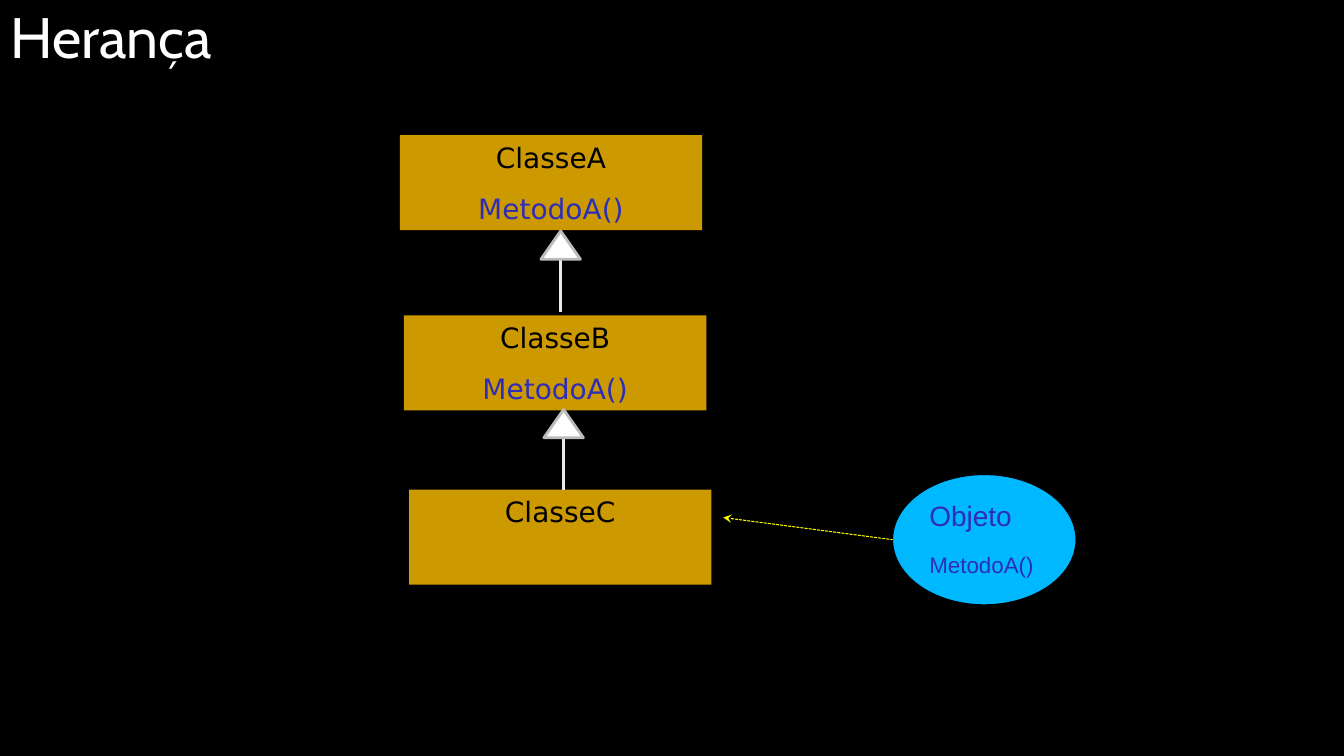
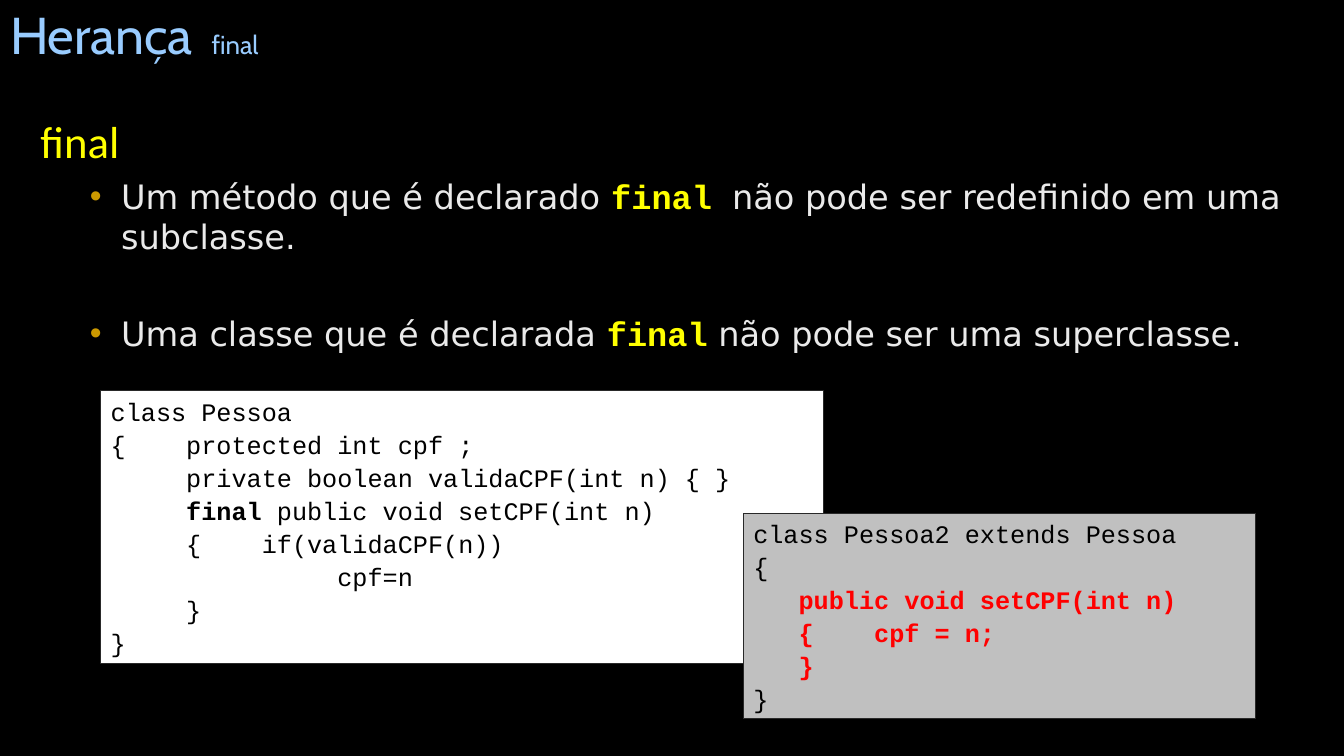
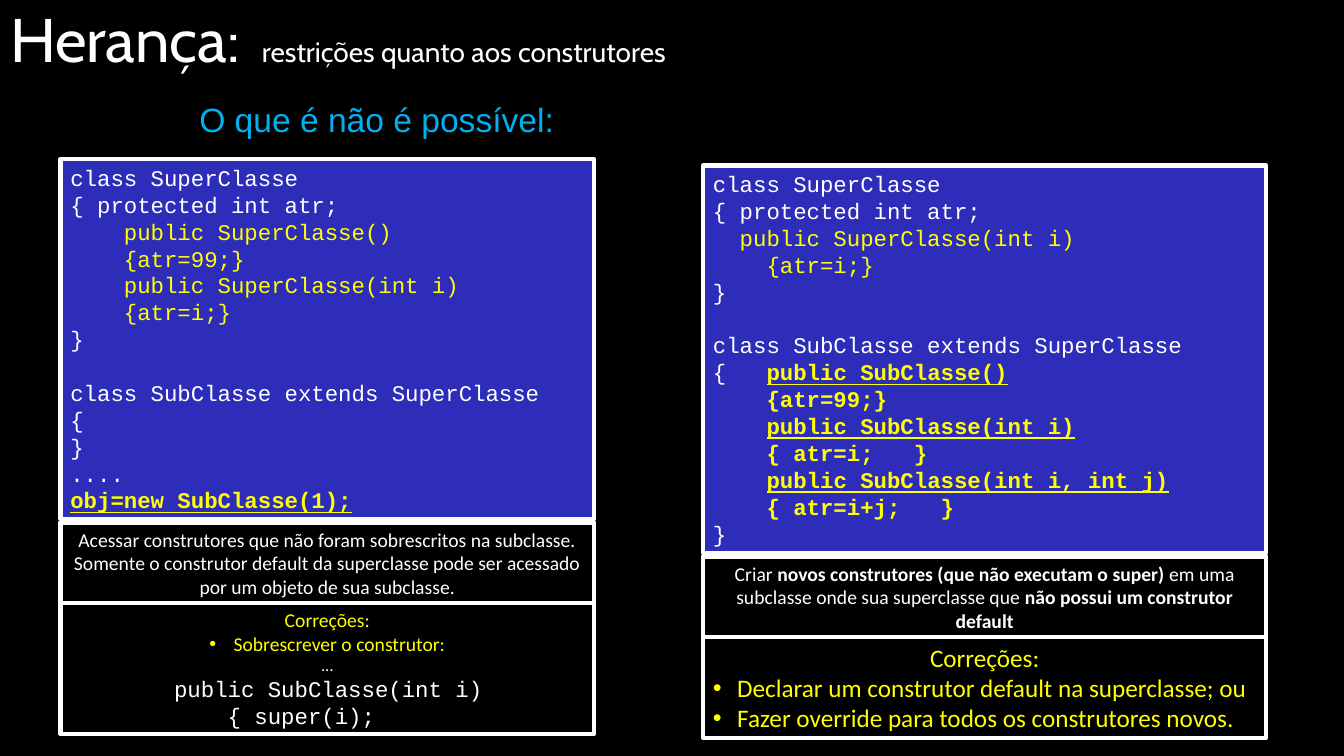
from dataclasses import dataclass
from typing import NamedTuple
from lxml.etree import SubElement
from pptx import Presentation
from pptx.dml.color import RGBColor
from pptx.enum.dml import MSO_LINE
from pptx.enum.shapes import MSO_CONNECTOR, MSO_SHAPE
from pptx.enum.text import MSO_ANCHOR, MSO_AUTO_SIZE, PP_ALIGN
from pptx.oxml.ns import qn
from pptx.util import Inches, Pt


@dataclass(frozen=True)
class Theme:
    black: str = "000000"
    white: str = "FFFFFF"
    pale: str = "EAEAEA"
    gray: str = "C0C0C0"
    edge: str = "BCBCBC"
    coal: str = "292929"
    gold: str = "CC9900"
    yellow: str = "FFFF00"
    red: str = "FF0000"
    blue: str = "2D2DB9"
    sky: str = "99CCFF"
    cyan: str = "00B8FF"
    aqua: str = "00B0F0"
    head: str = "Cabin"
    plain: str = "Calibri"
    wide: str = "DejaVu Sans"
    sans: str = "Arial"
    mono: str = "Courier New"
    huge: float = 44
    large: float = 32
    mid: float = 24
    base: float = 20
    lead: float = 18
    small: float = 16
    note: float = 14
    tiny: float = 12
    pitch: float = 1.2


T = Theme()
WIDTH, HEIGHT = Inches(13.34), Inches(7.5)
COLS, ROWS = 32, 18


class Box(NamedTuple):
    x: float
    y: float
    w: float
    h: float

    def share(self, x, y, w, h):
        return Box(self.x + x * self.w, self.y + y * self.h, w * self.w, h * self.h)

    def point(self, x, y):
        return (round((self.x + x * self.w) * WIDTH / COLS),
                round((self.y + y * self.h) * HEIGHT / ROWS))

    def frame(self):
        left, top = self.point(0, 0)
        right, base = self.point(1, 1)
        return left, top, right - left, base - top


def tint(name):
    return RGBColor.from_string(name)


def put(text, *runs, size=T.base, face=T.plain, color=T.white, bold=False,
        under=False, align=PP_ALIGN.LEFT, before=0, space=None, dot=None,
        left=0, hang=0, tab=None, level=0):
    par = text.paragraphs[0]
    if par.runs:
        par = text.add_paragraph()
    par.level = level
    props = par._p.get_or_add_pPr()
    props.set("marL", str(Inches(left)))
    props.set("indent", str(-Inches(hang)))
    if dot:
        SubElement(SubElement(props, qn("a:buClr")), qn("a:srgbClr")).set("val", dot)
        SubElement(props, qn("a:buFont")).set("typeface", T.sans)
        SubElement(props, qn("a:buChar")).set("char", "•")
    else:
        SubElement(props, qn("a:buNone"))
    if tab:
        stop = SubElement(SubElement(props, qn("a:tabLst")), qn("a:tab"))
        stop.set("pos", str(Inches(tab)))
        stop.set("algn", "l")
    par.alignment = align
    par.space_before, par.space_after = Pt(before), Pt(0)
    if space:
        par.line_spacing = space
    base = dict(size=size, face=face, color=color, bold=bold, under=under)
    for item in runs:
        words, extra = (item, {}) if isinstance(item, str) else item
        look = {**base, **extra}
        run = par.add_run()
        run.text = words
        font = run.font
        font.size, font.name = Pt(look["size"]), look["face"]
        font.bold, font.underline = look["bold"], look["under"]
        font.color.rgb = tint(look["color"])


def code(text, *rows, size=T.small, before=0, **look):
    gap = 0
    for row in rows:
        if not row:
            gap += size * T.pitch
            continue
        bits = row if isinstance(row, list) else [row]
        first = not text.paragraphs[0].runs
        put(text, *bits, size=size, face=T.mono, space=Pt(size * T.pitch),
            before=0 if first else before + gap, **look)
        gap = 0


def prep(shape, anchor=MSO_ANCHOR.TOP, wrap=True):
    text = shape.text_frame
    text.word_wrap, text.auto_size = wrap, MSO_AUTO_SIZE.NONE
    text.vertical_anchor = anchor
    text.margin_left = text.margin_right = Inches(0.1)
    text.margin_top = text.margin_bottom = Inches(0.05)
    return text


def place(shape, box):
    shape.left, shape.top, shape.width, shape.height = box.frame()


def shape(slide, box, fill, edge=None, width=0.75, kind=MSO_SHAPE.RECTANGLE):
    form = slide.shapes.add_shape(kind, *box.frame())
    form.shadow.inherit = False
    form.fill.solid()
    form.fill.fore_color.rgb = tint(fill)
    if edge:
        form.line.color.rgb = tint(edge)
        form.line.width = Pt(width)
    else:
        form.line.fill.background()
    return prep(form)


def wire(slide, start, end, color, width):
    line = slide.shapes.add_connector(MSO_CONNECTOR.STRAIGHT, *start, *end)
    line.line.color.rgb = tint(color)
    line.line.width = Pt(width)
    SubElement(line._element.spPr, qn("a:effectLst"))
    return line


def title(slide, box, *runs, **look):
    place(slide.shapes.title, box)
    put(prep(slide.shapes.title, MSO_ANCHOR.MIDDLE), *runs, face=T.head, **look)


def group(slide, box, name, call=None):
    text = shape(slide, box, T.gold)
    look = dict(face=T.wide, align=PP_ALIGN.CENTER)
    put(text, name, color=T.black, **look)
    if call:
        put(text, call, color=T.blue, before=12.5, **look)


def link(slide, box):
    wire(slide, box.point(0.5, 1), box.point(0.5, 0.35), T.pale, 2.25)
    shape(slide, box.share(0, 0, 1, 0.35), T.white, T.edge, 2,
          MSO_SHAPE.ISOSCELES_TRIANGLE)


def thing(slide, box):
    oval = box.share(0.48, 0, 0.52, 1)
    text = shape(slide, oval, T.cyan, T.black, kind=MSO_SHAPE.OVAL)
    look = dict(face=T.sans, color=T.blue)
    put(text, "Objeto", **look)
    put(text, "MetodoA()", size=T.small, before=13.8, **look)
    arrow = wire(slide, box.point(0, 0.33), oval.point(0, 0.5), T.yellow, 0.75)
    arrow.line.dash_style = MSO_LINE.SQUARE_DOT
    SubElement(arrow._element.spPr.find(qn("a:ln")), qn("a:headEnd")).set("type", "stealth")


def tree(slide):
    title(slide, Box(0.02, -0.05, 19, 2), "Herança", size=40.7, space=0.9)
    for x, y, name, call in ((9.52, 3.22, "ClasseA", "MetodoA()"),
                             (9.62, 7.51, "ClasseB", "MetodoA()"),
                             (9.74, 11.66, "ClasseC", None)):
        group(slide, Box(x, y, 7.2, 2.26), name, call)
    for x, y in ((12.88, 5.5), (12.95, 9.75)):
        link(slide, Box(x, y, 0.94, 1.92))
    thing(slide, Box(17.22, 11.3, 8.4, 3.1))


def points(slide, box):
    body = slide.placeholders[1]
    place(body, box)
    text = prep(body)
    mark = dict(face=T.mono, color=T.yellow, bold=True)
    look = dict(size=T.mid, face=T.wide, color=T.pale, dot=T.gold,
                left=0.81, hang=0.31, level=1)
    put(text, "final", size=T.large, color=T.yellow, left=0.38, hang=0.37)
    put(text, "Um método que é declarado ", ("final ", mark),
        "não pode ser redefinido em uma subclasse.", before=6, **look)
    put(text, "Uma classe que é declarada ", ("final", mark),
        " não pode ser uma superclasse.", before=40, **look)


def final(slide):
    title(slide, Box(0, -0.02, 19, 1.85), "Herança\t", ("final", dict(size=18.5)),
          size=37, color=T.sky, space=0.9, tab=2.05)
    points(slide, Box(0.7, 2.59, 30.22, 13.39))
    look = dict(size=T.lead, before=2, color=T.black)
    code(shape(slide, Box(2.4, 9.31, 17.2, 6.48), T.white, T.coal),
         "class Pessoa",
         "{    protected int cpf ;",
         "     private boolean validaCPF(int n) { }",
         ["     ", ("final", dict(bold=True)), " public void setCPF(int n)"],
         "     {    if(validaCPF(n))",
         "               cpf=n",
         "     }",
         "}", **look)
    wrong = dict(color=T.red, bold=True)
    code(shape(slide, Box(17.7, 12.22, 12.19, 4.9), T.gray, T.coal),
         "class Pessoa2 extends Pessoa",
         "{",
         [("   public void setCPF(int n)", wrong)],
         [("   {    cpf = n;", wrong)],
         [("   }", wrong)],
         "}", **look)


def stack(slide, box, foot, rows, note):
    gap, mid = 0.09, 1.92
    top = box.h - foot - mid - gap
    cells = []
    for y, high, fill in ((0, top, T.blue), (top + gap, mid, T.black),
                          (box.h - foot, foot, T.black)):
        cells.append(shape(slide, Box(box.x, box.y + y, box.w, high), fill, T.white, 3))
    code(cells[0], *rows)
    put(cells[1], *note, size=T.note, align=PP_ALIGN.CENTER)
    return cells[2]


def fixes(text, *items, size, align):
    put(text, "Correções:", size=size, color=T.yellow, align=PP_ALIGN.CENTER)
    for item in items:
        put(text, item, size=size, color=T.yellow, align=align, dot=T.yellow,
            left=0.24, hang=0.24)


def limits(slide):
    title(slide, Box(0, 0, 28, 1.8), "Herança:\t",
          ("restrições quanto aos construtores", dict(size=T.base)),
          size=T.huge, tab=2.56)
    label = slide.shapes.add_textbox(*Box(4.51, 2.23, 8.92, 1.2).frame())
    put(prep(label, wrap=False), "O que é não é possível:", size=T.mid,
        face=T.sans, color=T.aqua)
    lit = dict(color=T.yellow)
    strong = dict(color=T.yellow, bold=True)
    key = dict(strong, under=True)
    bold = dict(bold=True)
    foot = stack(slide, Box(1.44, 3.79, 12.71, 13.69), 3.12, [
        "class SuperClasse",
        "{ protected int atr;",
        [("    public SuperClasse()", lit)],
        [("    {atr=99;}", lit)],
        [("    public SuperClasse(int i)", lit)],
        [("    {atr=i;}", lit)],
        "}",
        "",
        "class SubClasse extends SuperClasse",
        "{",
        "}",
        "....",
        [("obj=new SubClasse(1);", key)],
    ], ["Acessar construtores que não foram sobrescritos na subclasse. "
        "Somente o construtor default da superclasse pode ser acessado "
        "por um objeto de sua subclasse."])
    fixes(foot, "Sobrescrever o construtor:", size=T.note, align=PP_ALIGN.CENTER)
    put(foot, "...", size=T.tiny, align=PP_ALIGN.CENTER)
    code(foot, "public SubClasse(int i)", "    { super(i);", left=1.03)
    foot = stack(slide, Box(16.74, 3.94, 13.41, 13.63), 2.4, [
        "class SuperClasse",
        "{ protected int atr;",
        [("  public SuperClasse(int i)", lit)],
        [("    {atr=i;}", lit)],
        "}",
        "",
        "class SubClasse extends SuperClasse",
        ["{   ", ("public SubClasse()", key)],
        [("    {atr=99;}", strong)],
        ["    ", ("public SubClasse(int i)", key)],
        [("    { atr=i;   }", strong)],
        ["    ", ("public SubClasse(int i, int j)", key)],
        [("    { atr=i+j;   }", strong)],
        "}",
    ], ["Criar ", ("novos construtores (que não executam o super)", bold),
        " em uma subclasse onde sua superclasse que ",
        ("não possui um construtor default", bold)])
    fixes(foot, "Declarar um construtor default na superclasse; ou",
          "Fazer override para todos os construtores novos.",
          size=T.lead, align=PP_ALIGN.LEFT)


def main():
    deck = Presentation()
    deck.slide_width, deck.slide_height = WIDTH, HEIGHT
    back = deck.slide_master.background.fill
    back.solid()
    back.fore_color.rgb = tint(T.black)
    for build, kind in ((tree, 5), (final, 1), (limits, 5)):
        build(deck.slides.add_slide(deck.slide_layouts[kind]))
    deck.save("out.pptx")


if __name__ == "__main__":
    main()
